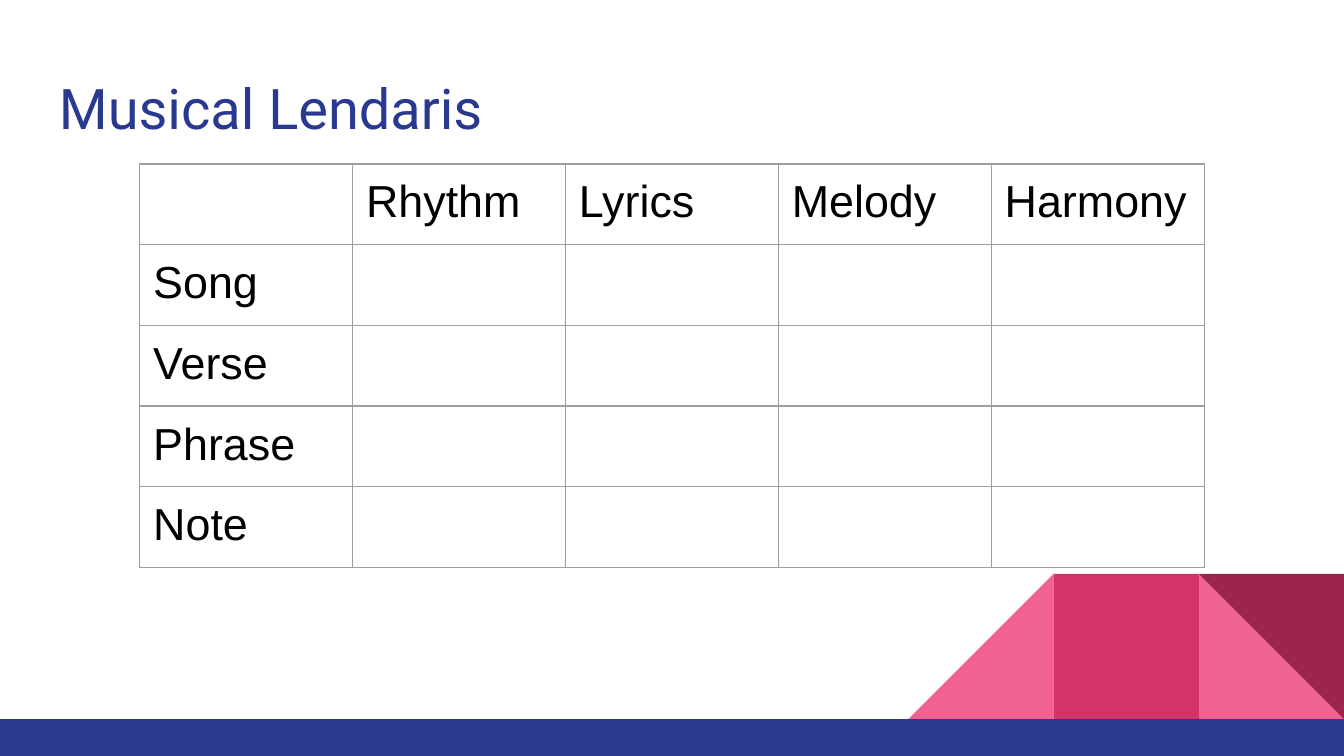
import pptx
import pptx.util
import pptx.dml.color
import pptx.enum.shapes
import pptx.enum.text
import pptx.oxml
import pptx.oxml.ns

Inches = pptx.util.Inches
Kind = pptx.enum.shapes.MSO_SHAPE
Anchor = pptx.enum.text.MSO_ANCHOR
HUES = {"navy": "2A3990", "pink": "F06292", "rose": "D23369",
        "wine": "9C254D", "grey": "9E9E9E", "black": "000000"}
HEADS = ["", "Rhythm", "Lyrics", "Melody", "Harmony"]
ROWS = ["Song", "Verse", "Phrase", "Note"]
PADS = dict.fromkeys(
    ["margin_left", "margin_top", "margin_right", "margin_bottom"], Inches(0.1))


def tint(name):
    """Return the named colour."""
    return pptx.dml.color.RGBColor.from_string(HUES[name])


def apply(item, form):
    """Set each attribute of item from a dict."""
    for key, val in form.items():
        setattr(item, key, val)


def write(para, text, face, size, hue):
    """Add one styled run to a paragraph."""
    run = para.add_run()
    run.text = text
    apply(run.font, {"name": face, "size": pptx.util.Pt(size)})
    run.font.color.rgb = tint(hue)


def block(slide, kind, box, hue):
    """Add a plain filled shape."""
    shape = slide.shapes.add_shape(kind, *map(Inches, box))
    shape.shadow.inherit = False
    shape.fill.solid()
    shape.fill.fore_color.rgb = tint(hue)
    shape.line.fill.background()
    return shape


def footer(slide, box):
    """Draw the base bar and the row of tiles standing on its right end."""
    left, top, width, high = box
    side = 1.08
    tiles = [(1, Kind.RIGHT_TRIANGLE, "pink", 0, False),
             (3, Kind.RIGHT_TRIANGLE, "pink", 0, True),
             (2, Kind.RECTANGLE, "rose", 0, False),
             (1, Kind.RIGHT_TRIANGLE, "wine", 180, False)]
    for place, kind, hue, turn, flip in tiles:
        spot = (left + width - place * side, top - side, side, side)
        tile = block(slide, kind, spot, hue)
        tile.rotation = turn
        if flip:
            tile._element.spPr.xfrm.set("flipH", "1")
    block(slide, Kind.RECTANGLE, box, "navy")


def title(slide, box, text):
    """Add the slide title."""
    frame = slide.shapes.add_textbox(*map(Inches, box)).text_frame
    apply(frame, {"word_wrap": True, "vertical_anchor": Anchor.TOP, **PADS})
    write(frame.paragraphs[0], text, "Roboto", 30, "navy")


def border(cell):
    """Rule all four sides of a cell and leave it unfilled."""
    props = cell._tc.get_or_add_tcPr()
    for side in ("lnL", "lnR", "lnT", "lnB"):
        props.append(pptx.oxml.parse_xml(
            f'<a:{side} {pptx.oxml.ns.nsdecls("a")} w="{pptx.util.Pt(0.75)}">'
            f'<a:solidFill><a:srgbClr val="{HUES["grey"]}"/></a:solidFill>'
            f'</a:{side}>'))
    cell.fill.background()


def grid(slide, box):
    """Add the table of song parts against musical traits."""
    data = [HEADS] + [[name] + [""] * (len(HEADS) - 1) for name in ROWS]
    table = slide.shapes.add_table(
        len(data), len(HEADS), *map(Inches, box)).table
    apply(table, {"first_row": False, "horz_banding": False})
    for row, texts in enumerate(data):
        for col, text in enumerate(texts):
            cell = table.cell(row, col)
            apply(cell, {"vertical_anchor": Anchor.TOP, **PADS})
            border(cell)
            if text:
                write(cell.text_frame.paragraphs[0], text, "Arial", 24, "black")


def main():
    """Build and save the slide."""
    deck = pptx.Presentation()
    wide = Inches(10)
    apply(deck, {"slide_width": wide, "slide_height": wide * 9 // 16})
    slide = deck.slides.add_slide(deck.slide_layouts[6])
    footer(slide, (0, 5.35, 10, 0.28))
    title(slide, (0.34, 0.45, 9.32, 0.66), "Musical Lendaris")
    grid(slide, (1.04, 1.22, 7.92, 2.1))
    deck.save("out.pptx")


if __name__ == "__main__":
    main()
